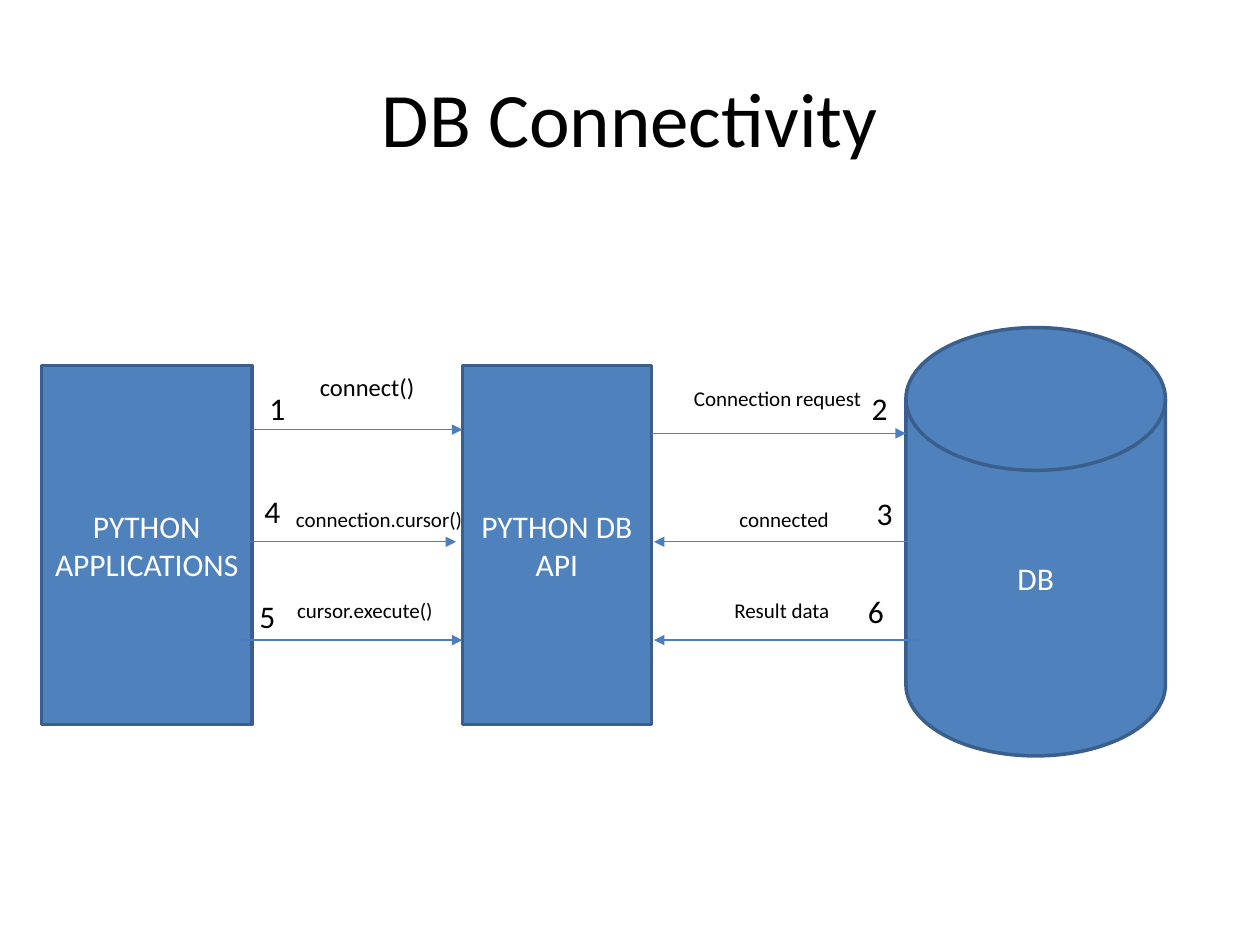
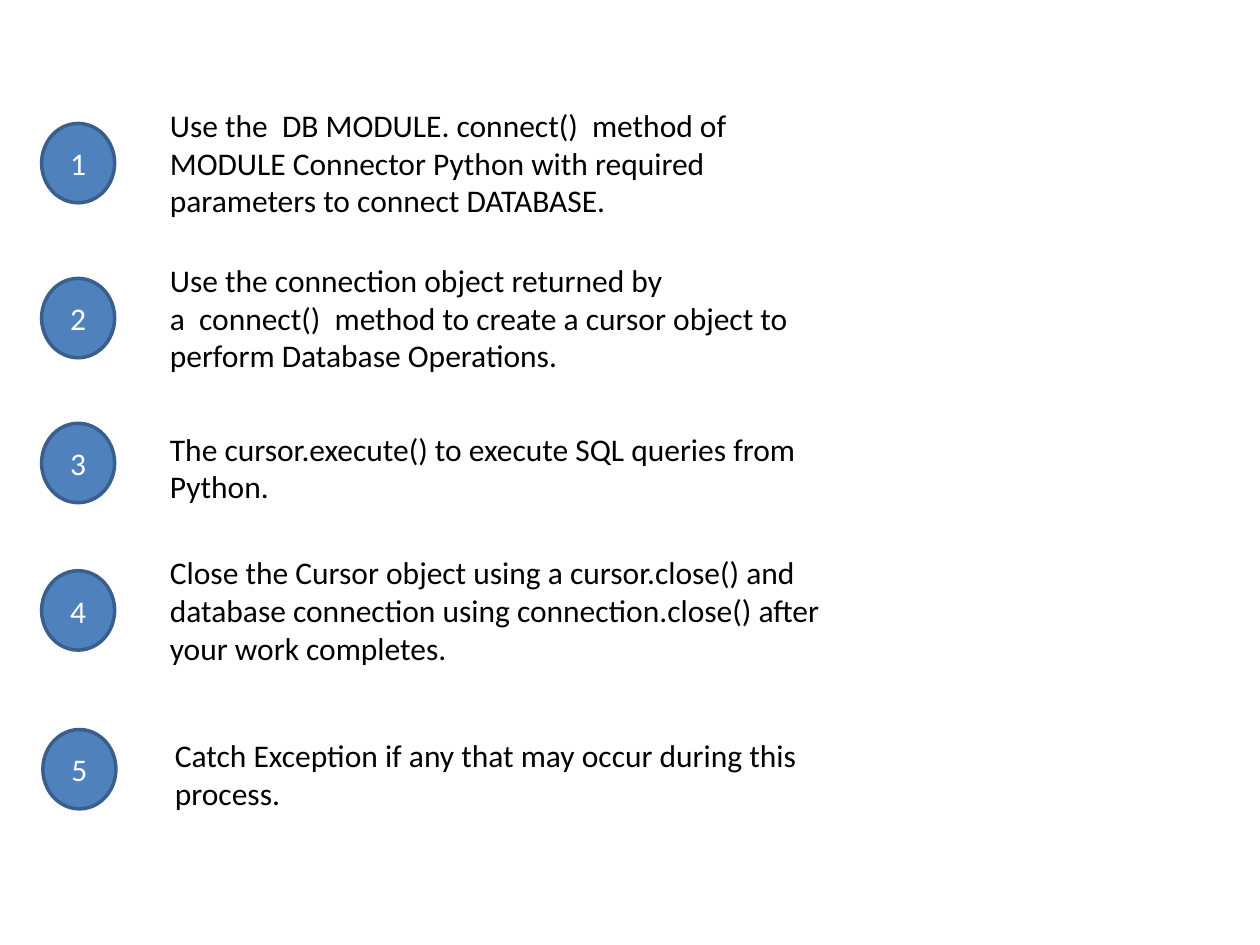
from pptx import Presentation
from pptx.dml.color import RGBColor
from pptx.enum.shapes import MSO_CONNECTOR, MSO_SHAPE
from pptx.enum.text import MSO_ANCHOR, PP_ALIGN
from pptx.oxml.ns import qn
from pptx.util import Inches, Pt
from lxml.etree import SubElement

FONT = "Calibri"
BLUE, EDGE, ARROW, BLACK, WHITE = "4F81BD", "3A5F8C", "4B7EBC", "000000", "FFFFFF"

TITLE = "DB Connectivity"
NODES = [
    (MSO_SHAPE.RECTANGLE, "PYTHON\nAPPLICATIONS", (0.33, 2.9, 1.67, 2.85)),
    (MSO_SHAPE.FLOWCHART_MAGNETIC_DISK, "DB", (7.19, 2.6, 2.06, 3.4)),
    (MSO_SHAPE.FLOWCHART_PROCESS, "PYTHON DB\nAPI", (3.67, 2.9, 1.5, 2.85)),
]
# start x, end x, y | number, left, top | label, size, left, top, width
CALLS = [
    ((2, 3.67, 3.41), ("1", 2.04, 3.04), ("connect()", 14, 2.44, 2.9, 0.96)),
    ((5.17, 7.19, 3.44), ("2", 6.82, 3.04), ("Connection request", 12, 5.41, 3.01, 1.54)),
    ((7.21, 5.19, 4.3), ("3", 6.86, 3.87), ("connected", 12, 5.77, 3.97, 0.92)),
    ((1.96, 3.62, 4.3), ("4", 2, 3.86), ("connection.cursor()", 12, 2.25, 3.97, 1.54)),
    ((1.92, 3.67, 5.08), ("5", 1.96, 4.69), ("cursor.execute()", 12, 2.26, 4.69, 1.29)),
    ((7.33, 5.19, 5.08), ("6", 6.79, 4.65), ("Result data", 12, 5.73, 4.69, 0.96)),
]
STEPS = [
    ("Use the\u00a0\u00a0DB MODULE. connect()\u00a0 method of MODULE Connector Python "
     "with required parameters to connect DATABASE.", (0.33, 0.98), (1.25, 0.79, 5.5, 1.01)),
    ("Use the connection object returned by a\u00a0\u00a0connect()\u00a0\u00a0method to create "
     "a\u00a0cursor\u00a0object to perform Database Operations.",
     (0.33, 2.21), (1.25, 2.02, 5.5, 1.01)),
    ("The\u00a0cursor.execute()\u00a0to execute SQL queries from Python.",
     (0.33, 3.36), (1.25, 3.36, 5.58, 0.71)),
    ("Close the Cursor object using a\u00a0cursor.close()\u00a0and database connection "
     "using\u00a0connection.close()\u00a0after your work completes.",
     (0.33, 4.53), (1.25, 4.34, 5.58, 1.01)),
    ("Catch Exception if any that may occur during this process.",
     (0.34, 5.79), (1.29, 5.79, 5.67, 0.71)),
]


def rgb(value):
    return RGBColor.from_string(value)


def write(tf, text, size=18, color=BLACK, align=PP_ALIGN.LEFT, anchor=MSO_ANCHOR.TOP, wrap=True):
    tf.text = text
    tf.word_wrap = wrap
    tf.vertical_anchor = anchor
    for p in tf.paragraphs:
        p.alignment = align
        for r in p.runs:
            r.font.name, r.font.size = FONT, Pt(size)
            r.font.color.rgb = rgb(color)


def add_text(slide, text, box, size=18, wrap=True):
    sp = slide.shapes.add_textbox(*map(Inches, box))
    write(sp.text_frame, text, size, wrap=wrap)


def add_node(slide, kind, text, box):
    sp = slide.shapes.add_shape(kind, *map(Inches, box))
    sp.shadow.inherit = False
    sp.fill.solid()
    sp.fill.fore_color.rgb = rgb(BLUE)
    sp.line.color.rgb = rgb(EDGE)
    sp.line.width = Pt(2)
    write(sp.text_frame, text, 18, WHITE, PP_ALIGN.CENTER, MSO_ANCHOR.MIDDLE)


def add_arrow(slide, start, end, y):
    line = slide.shapes.add_connector(MSO_CONNECTOR.STRAIGHT, *map(Inches, (start, y, end, y)))
    line.line.color.rgb = rgb(ARROW)
    line.line.width = Pt(0.75)
    SubElement(line.line._get_or_add_ln(), qn("a:tailEnd"), type="triangle")
    SubElement(line._element.spPr, qn("a:effectLst"))


def connectivity_slide(prs):
    s = prs.slides.add_slide(prs.slide_layouts[5])
    title = s.shapes.title
    title.left, title.top, title.width, title.height = map(Inches, (0.5, 0.3, 9, 1.25))
    write(title.text_frame, TITLE, 44, BLACK, PP_ALIGN.CENTER, MSO_ANCHOR.MIDDLE)
    for node in NODES:
        add_node(s, *node)
    for arrow, (number, x, y), (label, size, left, top, width) in CALLS:
        add_arrow(s, *arrow)
        add_text(s, number, (x, y, 0.33, 0.4))
        add_text(s, label, (left, top, width, 0.3), size, wrap=False)


def steps_slide(prs):
    s = prs.slides.add_slide(prs.slide_layouts[6])
    for number, (text, corner, box) in enumerate(STEPS, 1):
        add_text(s, text, box)
        add_node(s, MSO_SHAPE.OVAL, str(number), (*corner, 0.58, 0.63))


def main():
    """Build the two database connectivity slides."""
    prs = Presentation()
    prs.slide_width, prs.slide_height = Inches(10), Inches(7.5)
    connectivity_slide(prs)
    steps_slide(prs)
    prs.save("out.pptx")


main()
